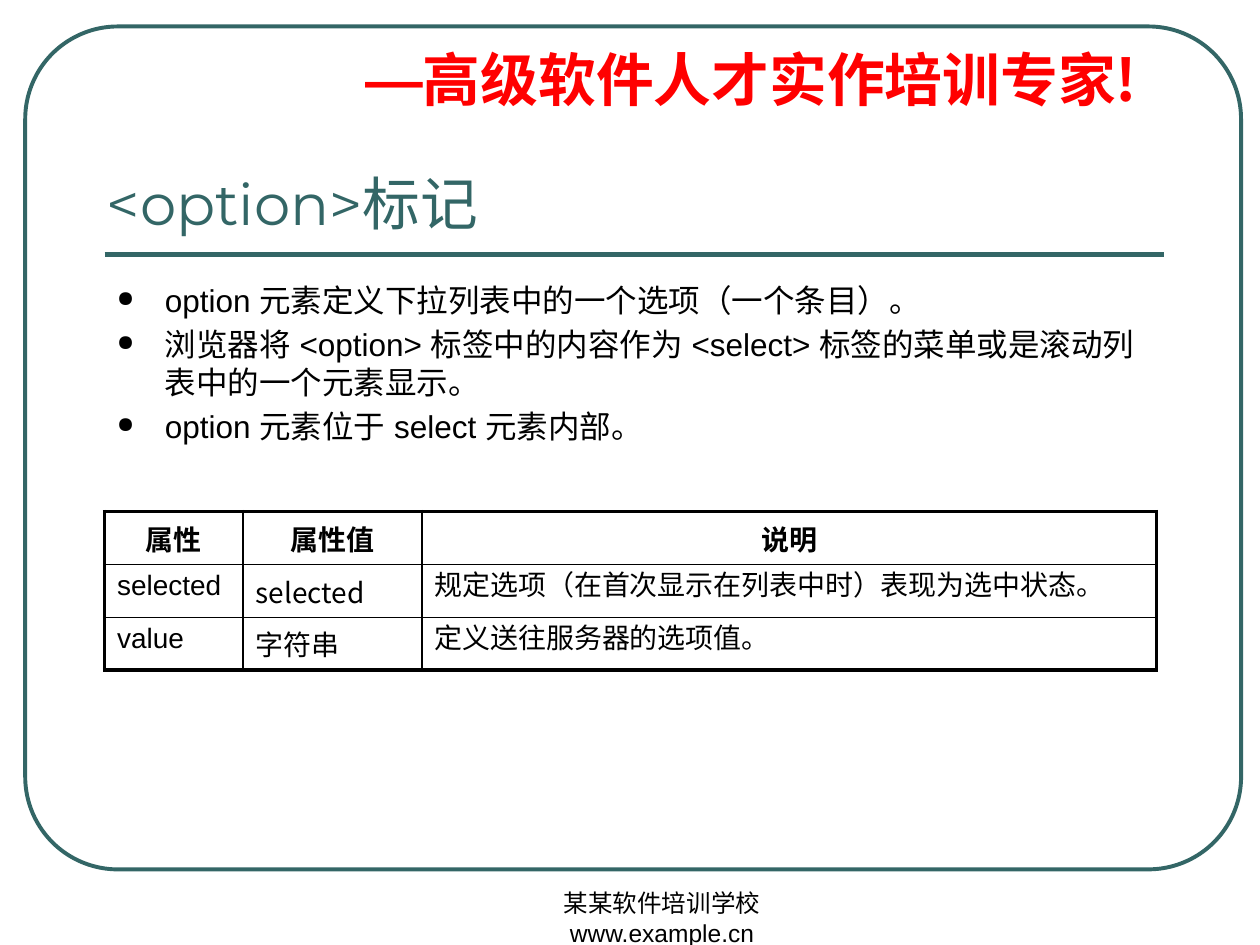
from dataclasses import dataclass
from typing import NamedTuple

from lxml.etree import SubElement
from pptx import Presentation
from pptx.dml.color import RGBColor
from pptx.enum.shapes import MSO_CONNECTOR, MSO_SHAPE
from pptx.enum.text import MSO_ANCHOR, PP_ALIGN
from pptx.oxml.ns import qn
from pptx.util import Inches, Pt


@dataclass(frozen=True)
class Theme:
    teal: str = "336666"
    red: str = "FF0000"
    ink: str = "000000"
    sans: str = "Arial"
    head: str = "Montserrat"
    han: str = "Noto Sans CJK SC"
    big: int = 33
    body: int = 18
    cell: int = 16
    foot: int = 14
    thick: float = 2.25
    thin: float = 1
    rule: float = 3


class Box(NamedTuple):
    """Left, top, width and height in percent of the slide."""
    x: float
    y: float
    w: float
    h: float


class Run(NamedTuple):
    text: str
    font: str
    size: int
    color: str
    bold: bool = False


T = Theme()
deck = Presentation()
deck.slide_width, deck.slide_height = Inches(10), Inches(7.5)
slide = deck.slides.add_slide(deck.slide_layouts[6])


def place(box: Box) -> list[int]:
    wide, high = deck.slide_width, deck.slide_height
    return [round(part * side / 100) for part, side in zip(box, (wide, high) * 2)]


def write(para, runs: list[Run], align=PP_ALIGN.LEFT, gap: float = 0) -> None:
    """Add the runs; gap is the space before, as a share of the type size."""
    para.alignment = align
    para.space_before = Pt(round(gap * runs[0].size, 2))
    for part in runs:
        run = para.add_run()
        run.text = part.text
        font = run.font
        font.name, font.size, font.bold = part.font, Pt(part.size), part.bold
        font.color.rgb = RGBColor.from_string(part.color)
        SubElement(font._element, qn("a:ea"), typeface=part.font)


def frame(box: Box, anchor=MSO_ANCHOR.TOP):
    text = slide.shapes.add_textbox(*place(box)).text_frame
    text.word_wrap = True
    text.vertical_anchor = anchor
    return text


def hang(para, mark: str = "") -> None:
    """Set a hanging indent and, if asked, a bullet."""
    props = para._p.get_or_add_pPr()
    props.set("marL", str(Inches(0.38)))
    props.set("indent", str(-Inches(0.38)))
    if mark:
        color = SubElement(props, qn("a:buClr"))
        SubElement(color, qn("a:srgbClr"), val=T.ink)
        SubElement(props, qn("a:buSzPct"), val="70000")
        SubElement(props, qn("a:buChar"), char=mark)


def edge(cell, side: str, width: float) -> None:
    line = SubElement(cell._tc.get_or_add_tcPr(), qn(f"a:ln{side}"), w=str(Pt(width)))
    fill = SubElement(line, qn("a:solidFill"))
    SubElement(fill, qn("a:srgbClr"), val=T.ink)


# Rounded border and title rule
card = slide.shapes.add_shape(MSO_SHAPE.ROUNDED_RECTANGLE, *place(Box(2, 2.8, 96.5, 89.2)))
card.adjustments[0] = 0.11
card.shadow.inherit = False
card.fill.background()
card.line.color.rgb = RGBColor.from_string(T.teal)
card.line.width = Pt(T.thick)

left, top, wide, _ = place(Box(8.3, 26.93, 84.1, 0))
rule = slide.shapes.add_connector(MSO_CONNECTOR.STRAIGHT, left, top, left + wide, top)
rule.line.color.rgb = RGBColor.from_string(T.teal)
rule.line.width = Pt(T.rule)
SubElement(rule._element.spPr, qn("a:effectLst"))

# Slogan, footer and title
slogan = frame(Box(28, 4.8, 63, 8)).paragraphs[0]
slogan.line_spacing = 0.9
write(slogan, [Run("—", T.head, T.big, T.red, True),
               Run("高级软件人才实作培训专家!", T.han, T.big, T.red, True)], gap=0.2)
hang(slogan)

foot = frame(Box(36.7, 93.33, 31.7, 6.67)).paragraphs[0]
write(foot, [Run("某某软件培训学校 www.example.cn", T.sans, T.foot, T.ink)], PP_ALIGN.CENTER)

title = frame(Box(7.5, 4.8, 84.2, 20.93), MSO_ANCHOR.BOTTOM).paragraphs[0]
write(title, [Run("<option>标记", T.head, T.big, T.teal)])

# Bullet list
POINTS = [
    "option 元素定义下拉列表中的一个选项（一个条目）。",
    "浏览器将 <option> 标签中的内容作为 <select> 标签的菜单或是滚动列表中的一个元素显示。",
    "option 元素位于 select 元素内部。",
]
text = frame(Box(8.3, 29.07, 84.3, 18.93))
for num, point in enumerate(POINTS):
    para = text.add_paragraph() if num else text.paragraphs[0]
    write(para, [Run(point, T.sans, T.body, T.ink)], gap=0.2)
    hang(para, "●")

# Attribute table: thick outside, thin inside
ROWS = [
    ("属性", "属性值", "说明"),
    ("selected", "selected", "规定选项（在首次显示在列表中时）表现为选中状态。"),
    ("value", "字符串", "定义送往服务器的选项值。"),
]
COLS = (1.1, 1.42, 5.83)
FONTS = (T.sans, T.han, T.sans)
last = len(ROWS) - 1
table = slide.shapes.add_table(len(ROWS), len(COLS), *place(Box(8.3, 54.13, 83.5, 16.8))).table
table.first_row = table.horz_banding = False
for col, width in zip(table.columns, COLS):
    col.width = Inches(width)
for r, row in enumerate(ROWS):
    for c, (word, font) in enumerate(zip(row, FONTS)):
        cell, top_row = table.cell(r, c), r == 0
        run = Run(word, T.han if top_row else font, T.cell, T.ink, top_row)
        write(cell.text_frame.paragraphs[0], [run],
              PP_ALIGN.CENTER if top_row else PP_ALIGN.LEFT, 0.2)
        outer = {"L": c == 0, "R": c == len(COLS) - 1, "T": top_row, "B": r == last}
        for side, out in outer.items():
            edge(cell, side, T.thick if out else T.thin)
        cell.fill.background()

deck.save("out.pptx")
